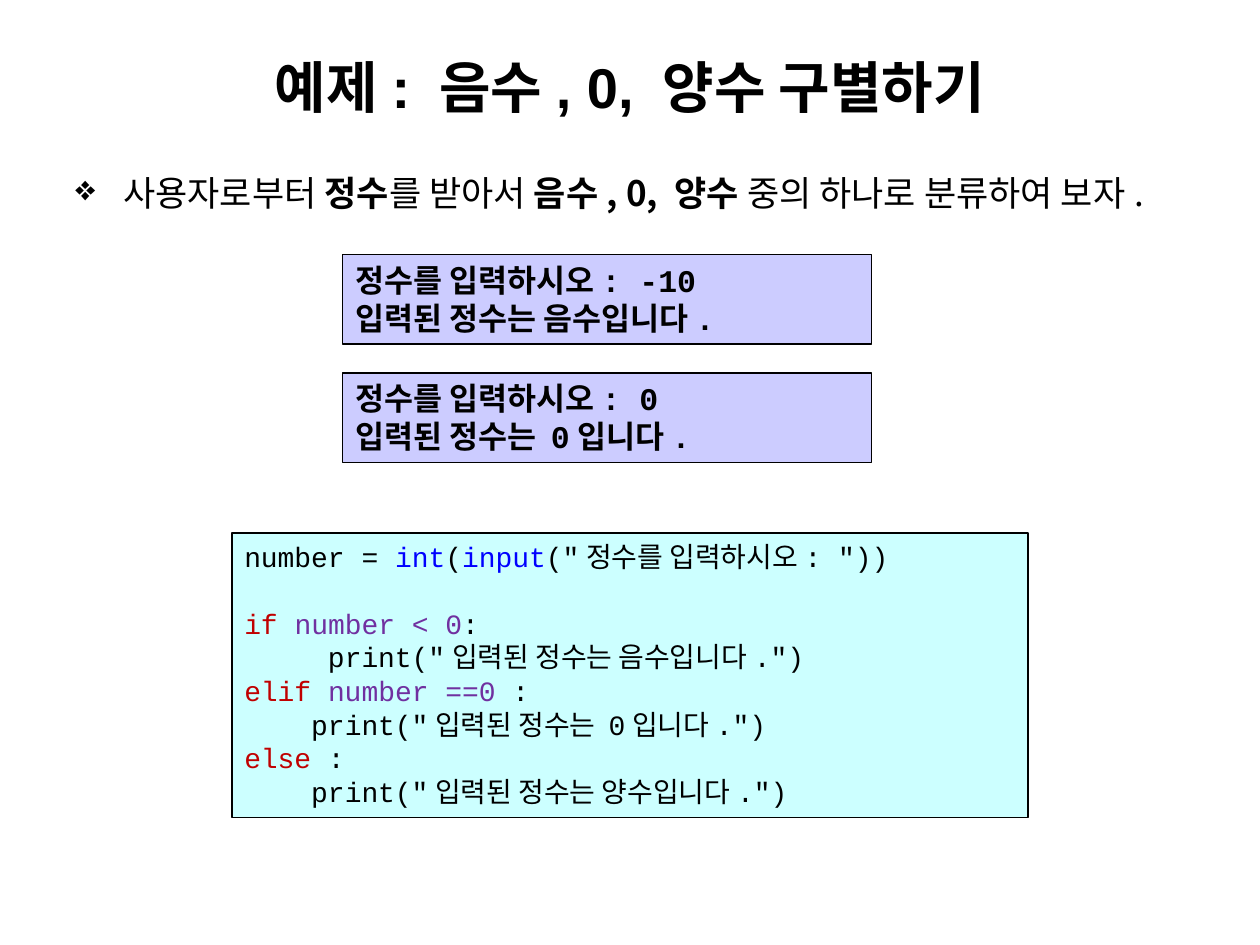
import pptx
import pptx.util
import pptx.dml.color
import pptx.enum.shapes
import pptx.enum.text
import pptx.oxml.ns
from lxml import etree

# Content: each line is a list of (text, style) runs
TITLE = [[("예제: 음수, 0, 양수 구별하기", "bold")]]
TASK = [[("사용자로부터 ", "plain"), ("정수", "bold"), ("를 받아서 ", "plain"),
         ("음수, 0, 양수 ", "bold"), ("중의 하나로 분류하여 보자.", "plain")]]
SESSIONS = [
    [[("정수를 입력하시오: -10", "bold")], [("입력된 정수는 음수입니다.", "bold")]],
    [[("정수를 입력하시오: 0", "bold")], [("입력된 정수는 0입니다.", "bold")]],
]
CODE = [
    [("number = ", "plain"), ("int", "builtin"), ("(", "plain"),
     ("input", "builtin"), ('("정수를 입력하시오: "))', "plain")],
    [],
    [("if ", "keyword"), ("number < 0", "condition"), (":", "plain")],
    [('     print("입력된 정수는 음수입니다.")', "plain")],
    [("elif ", "keyword"), ("number ==0 ", "condition"), (":", "plain")],
    [('    print("입력된 정수는 0입니다.")', "plain")],
    [("else", "keyword"), (" :", "plain")],
    [('    print("입력된 정수는 양수입니다.")', "plain")],
]

THEME = {
    "colors": {"plain": "000000", "bold": "000000", "builtin": "0000FF",
               "keyword": "C00000", "condition": "7030A0"},
    "session_fill": "CCCCFF", "code_fill": "CCFFFF", "line": "000000",
    "title": ("Arial", 32), "task": ("Noto Sans CJK KR", 20),
    "session": ("Courier New", 18), "code": ("Courier New", 16),
    "korean": "Noto Sans CJK KR", "line_width": 0.75,
}

# Layout in inches
WIDTH, HEIGHT = 10, 7.5
MARGIN = 0.05 * WIDTH
SESSION_LEFT, SESSION_TOP, SESSION_W, SESSION_H = 2.72, 2.02, 0.42 * WIDTH, 0.71
SESSION_STEP = 0.94
CODE_W, CODE_H, CODE_TOP = 6.32, 2.26, 4.23

inch = pptx.util.Inches
ALIGN = pptx.enum.text.PP_ALIGN
ANCHOR = pptx.enum.text.MSO_ANCHOR


def rgb(value):
    return pptx.dml.color.RGBColor.from_string(value)


def add_bullet(paragraph, char, indent):
    properties = paragraph._p.get_or_add_pPr()
    properties.set("marL", str(inch(indent)))
    properties.set("indent", str(-inch(indent)))
    bullet = etree.SubElement(properties, pptx.oxml.ns.qn("a:buChar"))
    bullet.set("char", char)


def write(shape, lines, face, align=ALIGN.LEFT, anchor=ANCHOR.TOP, bullet=None):
    font_name, size = THEME[face]
    frame = shape.text_frame
    frame.word_wrap = True
    frame.vertical_anchor = anchor
    for number, line in enumerate(lines):
        paragraph = frame.add_paragraph() if number else frame.paragraphs[0]
        paragraph.alignment = align
        if bullet:
            add_bullet(paragraph, bullet, 0.38)
        paragraph.font.size = pptx.util.Pt(size)
        if not line:
            paragraph.font.name = font_name
        for text, style in line:
            run = paragraph.add_run()
            run.text = text
            run.font.name = font_name
            run.font.size = pptx.util.Pt(size)
            run.font.bold = style == "bold"
            run.font.color.rgb = rgb(THEME["colors"][style])
            korean = etree.Element(pptx.oxml.ns.qn("a:ea"), typeface=THEME["korean"])
            run.font._element.find(pptx.oxml.ns.qn("a:latin")).addnext(korean)


def add_panel(slide, left, top, width, height, fill):
    panel = slide.shapes.add_shape(pptx.enum.shapes.MSO_SHAPE.RECTANGLE,
                                   inch(left), inch(top), inch(width), inch(height))
    panel.shadow.inherit = False
    panel.fill.solid()
    panel.fill.fore_color.rgb = rgb(fill)
    panel.line.color.rgb = rgb(THEME["line"])
    panel.line.width = pptx.util.Pt(THEME["line_width"])
    return panel


def main():
    deck = pptx.Presentation()
    deck.slide_width, deck.slide_height = inch(WIDTH), inch(HEIGHT)
    slide = deck.slides.add_slide(deck.slide_layouts[6])
    text_width = WIDTH - 2 * MARGIN

    # Title and task
    title = slide.shapes.add_textbox(inch(MARGIN), inch(0.3), inch(text_width), inch(0.77))
    write(title, TITLE, "title", ALIGN.CENTER, ANCHOR.MIDDLE)
    task = slide.shapes.add_textbox(inch(MARGIN), inch(1.31), inch(text_width), inch(5.83))
    write(task, TASK, "task", bullet="❖")

    # Sample sessions
    for row, session in enumerate(SESSIONS):
        panel = add_panel(slide, SESSION_LEFT, SESSION_TOP + row * SESSION_STEP,
                          SESSION_W, SESSION_H, THEME["session_fill"])
        write(panel, session, "session")

    # Program, centred on the slide
    program = add_panel(slide, (WIDTH - CODE_W) / 2, CODE_TOP, CODE_W, CODE_H,
                        THEME["code_fill"])
    write(program, CODE, "code")

    deck.save("out.pptx")


if __name__ == "__main__":
    main()
